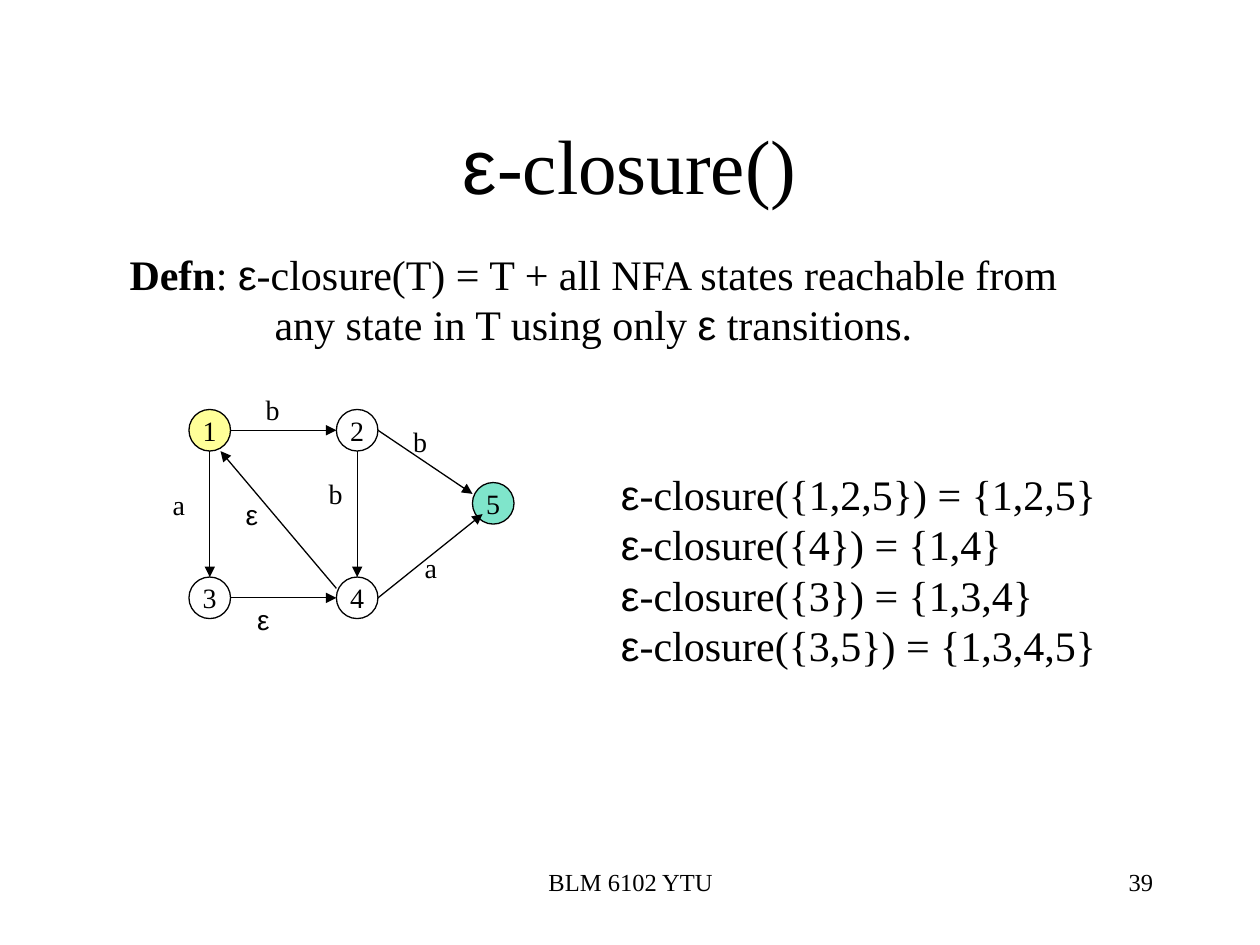
"""Build the ε-closure slide with its NFA diagram."""
from dataclasses import dataclass
from itertools import groupby

from lxml import etree
from pptx import Presentation
from pptx.dml.color import RGBColor
from pptx.enum.shapes import MSO_CONNECTOR, MSO_SHAPE
from pptx.enum.text import MSO_ANCHOR, MSO_AUTO_SIZE, PP_ALIGN
from pptx.oxml.ns import qn
from pptx.util import Inches, Pt

LEFT, CENTER, RIGHT = PP_ALIGN.LEFT, PP_ALIGN.CENTER, PP_ALIGN.RIGHT
TOP, MIDDLE = MSO_ANCHOR.TOP, MSO_ANCHOR.MIDDLE
GROW, FIXED = MSO_AUTO_SIZE.SHAPE_TO_FIT_TEXT, MSO_AUTO_SIZE.NONE
OVAL, STRAIGHT = MSO_SHAPE.OVAL, MSO_CONNECTOR.STRAIGHT


@dataclass(frozen=True)
class Theme:
    ink: str = "000000"
    plain: str = "FFFFFF"
    start: str = "FFFF99"
    accept: str = "00CC99"
    font: str = "Times New Roman"
    greek: str = "Arial"
    title: int = 44
    body: int = 24
    label: int = 16
    footer: int = 14
    line: float = 0.75
    state: float = 0.33


class Slide:
    def __init__(self, prs, theme):
        self.theme = theme
        self.s = prs.slides.add_slide(prs.slide_layouts[6])

    def add_runs(self, p, text, size, bold=False):
        for is_greek, chars in groupby(text, key=lambda c: c == "ε"):
            r = p.add_run()
            r.text = "".join(chars)
            r.font.name = self.theme.greek if is_greek else self.theme.font
            r.font.size = Pt(size)
            r.font.bold = bold
            r.font.color.rgb = RGBColor.from_string(self.theme.ink)

    def text(self, box, lines, size, align=CENTER, anchor=TOP, wrap=True, fit=FIXED, lead=""):
        sp = self.s.shapes.add_textbox(*map(Inches, box))
        tf = sp.text_frame
        tf.word_wrap, tf.auto_size, tf.vertical_anchor = wrap, fit, anchor
        for i, line in enumerate(lines):
            p = tf.add_paragraph() if i else tf.paragraphs[0]
            p.alignment = align
            self.add_runs(p, lead, size, bold=True)
            self.add_runs(p, line, size)

    def label(self, x, y, text):
        self.text((x, y, 0.3, 0.37), [text], self.theme.label, wrap=False, fit=GROW)

    def state(self, x, y, name, color, alpha=None):
        d = self.theme.state
        sp = self.s.shapes.add_shape(OVAL, *map(Inches, (x, y, d, d)))
        sp.shadow.inherit = False
        sp.fill.solid()
        sp.fill.fore_color.rgb = RGBColor.from_string(color)
        if alpha:
            clr = sp._element.spPr.find(".//" + qn("a:srgbClr"))
            etree.SubElement(clr, qn("a:alpha"), val=str(alpha * 1000))
        sp.line.color.rgb = RGBColor.from_string(self.theme.ink)
        sp.line.width = Pt(self.theme.line)
        tf = sp.text_frame
        tf.word_wrap, tf.vertical_anchor = False, MIDDLE
        p = tf.paragraphs[0]
        p.alignment = CENTER
        self.add_runs(p, name, self.theme.label)

    def arrow(self, *ends):
        c = self.s.shapes.add_connector(STRAIGHT, *map(Inches, ends))
        c.line.color.rgb = RGBColor.from_string(self.theme.ink)
        c.line.width = Pt(self.theme.line)
        ln = c._element.spPr.find(qn("a:ln"))
        etree.SubElement(ln, qn("a:tailEnd"), type="triangle")
        etree.SubElement(c._element.spPr, qn("a:effectLst"))


def main():
    prs = Presentation()
    prs.slide_width, prs.slide_height = Inches(10), Inches(7.5)
    t = Theme()
    s = Slide(prs, t)

    s.text((3.42, 6.83, 3.17, 0.5), ["BLM 6102 YTU"], t.footer)
    s.text((7.17, 6.83, 2.08, 0.5), ["39"], t.footer, RIGHT)
    s.text((0.75, 0.67, 8.5, 1.25), ["ε-closure()"], t.title, anchor=MIDDLE)
    definition = (": ε-closure(T) = T + all NFA states reachable from "
                  "any state in T using only ε transitions.")
    s.text((0.92, 1.92, 7.58, 0.9), [definition], t.body, fit=GROW, lead="Defn")

    left, middle, upper, lower = 1.5, 2.67, 3.25, 4.58
    s.state(left, upper, "1", t.start)
    s.state(3.75, 3.83, "5", t.accept, alpha=50)
    s.state(middle, upper, "2", t.plain)
    s.state(middle, lower, "4", t.plain)
    s.state(left, lower, "3", t.plain)

    d, r = t.state, t.state / 2
    for y in (upper, lower):
        s.arrow(left + d, y + r, middle, y + r)
    for x in (left, middle):
        s.arrow(x + r, upper + d, x + r, lower)
    s.arrow(middle, 4.67, 1.75, upper + d)
    s.arrow(middle + d, lower + r, 3.83, 4.08)
    s.arrow(middle + d, upper + r, 3.75, 3.92)

    for x, y, symbol in (
        (2.01, 3.07, "b"), (1.94, 4.73, "ε"), (1.27, 3.82, "a"), (1.85, 3.9, "ε"),
        (2.51, 3.73, "b"), (3.18, 3.32, "b"), (3.27, 4.32, "a"),
    ):
        s.label(x, y, symbol)

    closures = (("1,2,5", "1,2,5"), ("4", "1,4"), ("3", "1,3,4"), ("3,5", "1,3,4,5"))
    lines = [f"ε-closure({{{states}}}) = {{{closure}}}" for states, closure in closures]
    s.text((4.83, 3.67, 4.17, 1.7), lines, t.body, LEFT, fit=GROW)

    prs.save("out.pptx")


if __name__ == "__main__":
    main()
